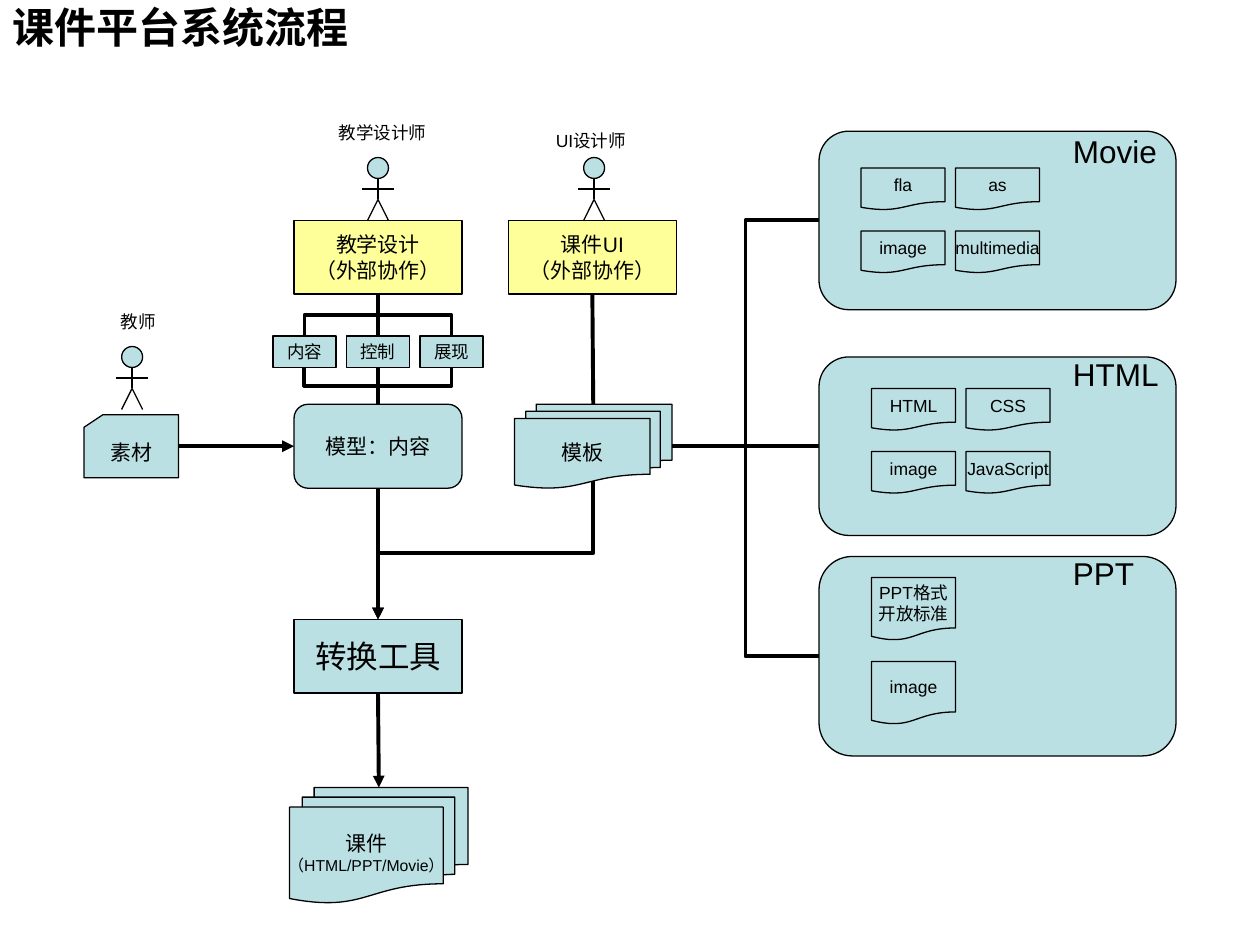
"""Build the courseware platform system flow slide."""
from dataclasses import dataclass

from lxml.etree import SubElement
from pptx import Presentation
from pptx.dml.color import RGBColor as RGB
from pptx.enum.shapes import MSO_CONNECTOR as LINE, MSO_SHAPE as SHAPE
from pptx.enum.text import MSO_ANCHOR as ANCHOR, MSO_AUTO_SIZE as FIT, PP_ALIGN as ALIGN
from pptx.oxml.ns import qn
from pptx.util import Pt


@dataclass(frozen=True)
class Theme:
    font: str = "Arial"
    ink: RGB = RGB(0, 0, 0)
    teal: RGB = RGB(0xBB, 0xE0, 0xE3)
    yellow: RGB = RGB(0xFF, 0xFF, 0x99)
    title: int = 24
    large: int = 18
    body: int = 12
    small: int = 10
    tiny: int = 9
    thin: float = 0.74
    thick: float = 2.24


T = Theme()
TITLE = "课件平台系统流程"
EXTERNAL = ("（外部协作）", T.body)

BOXES = [
    (SHAPE.FLOWCHART_CARD, (48, 237, 54, 36), T.teal, [("素材", T.body)]),
    (SHAPE.FLOWCHART_ALTERNATE_PROCESS, (168, 231, 96, 48), T.teal, [("模型：内容", T.body)]),
    (SHAPE.FLOWCHART_PROCESS, (168, 354, 96, 42), T.teal, [("转换工具", T.large)]),
    (SHAPE.FLOWCHART_MULTIDOCUMENT, (165.5, 450, 102, 66), T.teal,
     [("课件", T.body), ("（HTML/PPT/Movie）", T.tiny)]),
    (SHAPE.FLOWCHART_MULTIDOCUMENT, (294, 231, 90, 48), T.teal, [("模板", T.body)]),
    (SHAPE.FLOWCHART_PROCESS, (168, 126, 96, 42), T.yellow, [("教学设计", T.body), EXTERNAL]),
    (SHAPE.FLOWCHART_PROCESS, (290.5, 126, 96, 42), T.yellow, [("课件UI", T.body), EXTERNAL]),
]
ASPECTS = ["内容", "控制", "展现"]
ACTORS = [
    ("教师", 75.5, 198, (62, 174, 34.5, 19.5)),
    ("教学设计师", 216, 90, (186.5, 66, 64.5, 19.5)),
    ("UI设计师", 339.5, 90, (310.5, 70.5, 56.5, 19.5)),
]
PANELS = [
    dict(name="Movie", top=75, height=102, label=(72, 63), docs=(492, 96, 24, 36),
         rows=[["fla", "as"], ["image", "multimedia"]]),
    dict(name="HTML", top=204, height=102, label=(199.5, 64), docs=(498, 222, 24, 36),
         rows=[["HTML", "CSS"], ["image", "JavaScript"]]),
    dict(name="PPT", top=318, height=114, label=(313, 50), docs=(498, 330, 36, 48),
         rows=[["PPT格式\n开放标准"], ["image"]]),
]
PANEL_X, PANEL_W, LABEL_X = 468, 204, 606
DOC_W, DOC_PITCH = 48, 54
ASPECT_X, ASPECT_Y, ASPECT_W, ASPECT_H, ASPECT_PITCH = 156, 192, 36, 18, 42
AXIS, TEMPLATE_X, TEMPLATE_RIGHT, MID_Y = 216, 339, 384, 255


def write(tf, lines, align=ALIGN.CENTER, bold=False):
    for i, (text, size) in enumerate(lines):
        p = tf.paragraphs[0] if i == 0 else tf.add_paragraph()
        p.alignment = align
        r = p.add_run()
        r.text = text
        r.font.name, r.font.size, r.font.bold = T.font, Pt(size), bold
        r.font.color.rgb = T.ink


def box(shapes, kind, area, fill=T.teal, lines=()):
    sp = shapes.add_shape(kind, *map(Pt, area))
    sp.shadow.inherit = False
    sp.fill.solid()
    sp.fill.fore_color.rgb = fill
    sp.line.color.rgb, sp.line.width = T.ink, Pt(T.thin)
    sp.text_frame.word_wrap = False
    sp.text_frame.vertical_anchor = ANCHOR.MIDDLE
    write(sp.text_frame, lines)


def label(shapes, text, area, size):
    tf = shapes.add_textbox(*map(Pt, area)).text_frame
    tf.word_wrap = False
    tf.auto_size = FIT.SHAPE_TO_FIT_TEXT
    write(tf, [(text, size)], ALIGN.LEFT)


def link(shapes, start, end, kind=LINE.STRAIGHT, width=T.thick, arrow=False):
    c = shapes.add_connector(kind, *map(Pt, (*start, *end)))
    c.line.color.rgb, c.line.width = T.ink, Pt(width)
    if arrow:
        SubElement(c.line._get_or_add_ln(), qn("a:tailEnd"), type="triangle")
    SubElement(c._element.spPr, qn("a:effectLst"))
    return c


def drop(shapes, start, end, bend=0.5, arrow=False):
    (x1, y1), (x2, y2) = start, end
    cx, cy = (x1 + x2) / 2, (y1 + y2) / 2
    half_w, half_h = (y2 - y1) / 2, (x1 - x2) / 2
    c = link(shapes, (cx - half_w, cy - half_h), (cx + half_w, cy + half_h), LINE.ELBOW, arrow=arrow)
    sp_pr = c._element.spPr
    sp_pr.find(qn("a:xfrm")).set("rot", "5400000")
    guides = sp_pr.find(qn("a:prstGeom")).find(qn("a:avLst"))
    SubElement(guides, qn("a:gd"), name="adj1", fmla=f"val {round(bend * 100000)}")


def actor(shapes, x, y):
    figure = shapes.add_group_shape().shapes
    box(figure, SHAPE.FLOWCHART_CONNECTOR, (x - 6, y, 12, 12))
    hip = (x, y + 24)
    for start, end in [((x, y + 12), hip), ((x - 9, y + 18), (x + 9, y + 18)),
                       (hip, (x - 6, y + 36)), (hip, (x + 6, y + 36))]:
        link(figure, start, end, width=T.thin)


prs = Presentation()
prs.slide_width, prs.slide_height = Pt(720), Pt(540)
s = prs.slides.add_slide(prs.slide_layouts[5])
shapes = s.shapes

title = shapes.title
title.left, title.top, title.width, title.height = map(Pt, (0, 0, 720, 30))
title.text_frame.auto_size = FIT.NONE
title.text_frame.vertical_anchor = ANCHOR.MIDDLE
write(title.text_frame, [(TITLE, T.title)], ALIGN.LEFT, True)

link(shapes, (102, MID_Y), (168, MID_Y), arrow=True)
link(shapes, (AXIS, 279), (AXIS, 354), arrow=True)
link(shapes, (AXIS, 396), (216.5, 450), arrow=True)
link(shapes, (338.5, 168), (TEMPLATE_X, 231))
drop(shapes, (TEMPLATE_X, 275), (AXIS, 354), 0.52, True)

for i, aspect in enumerate(ASPECTS):
    x = ASPECT_X + i * ASPECT_PITCH
    mid = x + ASPECT_W / 2
    join = link if mid == AXIS else drop
    join(shapes, (AXIS, 168), (mid, ASPECT_Y))
    join(shapes, (mid, ASPECT_Y + ASPECT_H), (AXIS, 231))
    box(shapes, SHAPE.FLOWCHART_PROCESS, (x, ASPECT_Y, ASPECT_W, ASPECT_H), lines=[(aspect, T.small)])

for panel in PANELS:
    top, height = panel["top"], panel["height"]
    y = top + height / 2
    link(shapes, (TEMPLATE_RIGHT, MID_Y), (PANEL_X, y), LINE.STRAIGHT if y == MID_Y else LINE.ELBOW)
    box(shapes, SHAPE.FLOWCHART_ALTERNATE_PROCESS, (PANEL_X, top, PANEL_W, height))
    label_y, label_w = panel["label"]
    label(shapes, panel["name"], (LABEL_X, label_y, label_w, 29), T.large)
    left, first, doc_h, pitch = panel["docs"]
    for row, names in enumerate(panel["rows"]):
        for col, name in enumerate(names):
            area = (left + col * DOC_PITCH, first + row * pitch, DOC_W, doc_h)
            box(shapes, SHAPE.FLOWCHART_DOCUMENT, area, lines=[(t, T.small) for t in name.split("\n")])

for kind, area, fill, lines in BOXES:
    box(shapes, kind, area, fill, lines)

for name, x, y, area in ACTORS:
    actor(shapes, x, y)
    label(shapes, name, area, T.small)

prs.save("out.pptx")
